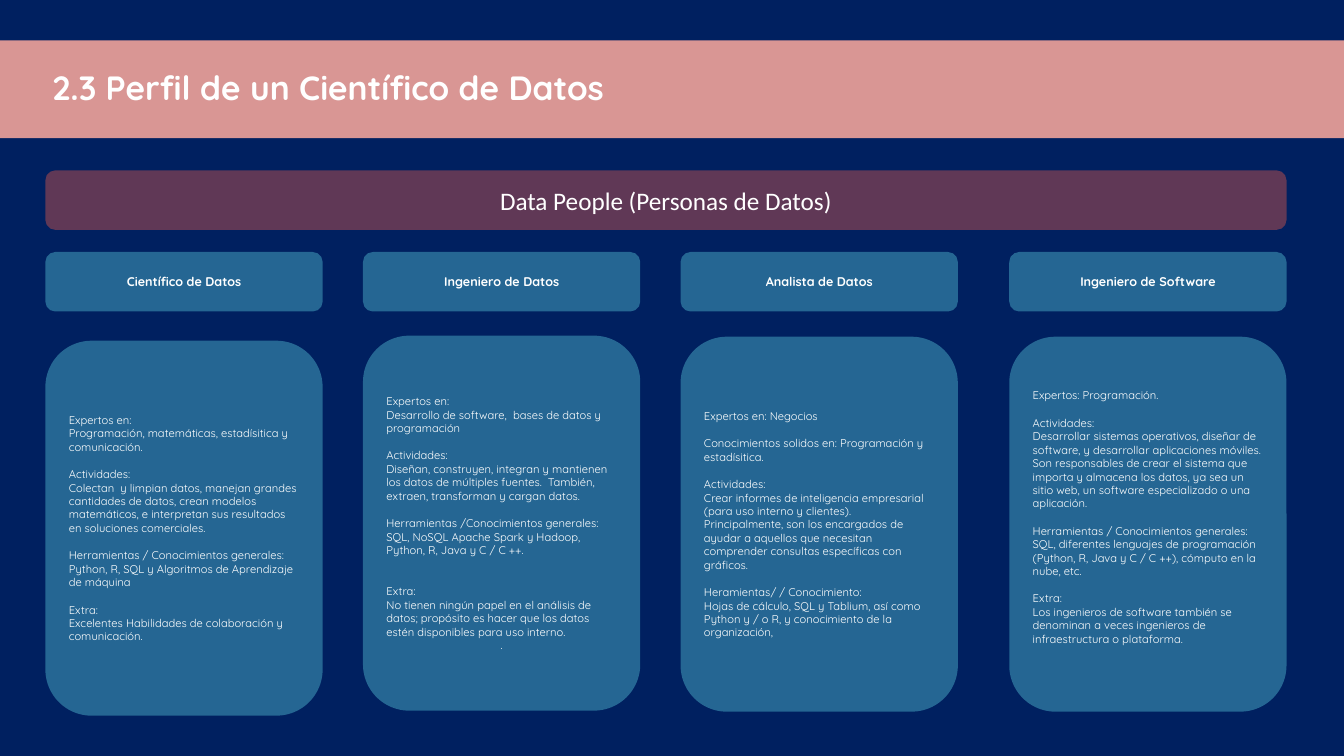
from dataclasses import dataclass

from lxml import etree
from pptx import Presentation
from pptx.dml.color import RGBColor
from pptx.enum.shapes import MSO_SHAPE
from pptx.enum.text import MSO_ANCHOR, PP_ALIGN
from pptx.oxml.ns import qn
from pptx.util import Inches, Pt

RECT = MSO_SHAPE.RECTANGLE
ROUNDED = MSO_SHAPE.ROUNDED_RECTANGLE
MIDDLE = MSO_ANCHOR.MIDDLE
LEFT, CENTER = PP_ALIGN.LEFT, PP_ALIGN.CENTER


@dataclass(frozen=True)
class Theme:
    navy: RGBColor = RGBColor(0x00, 0x20, 0x60)
    pink: RGBColor = RGBColor(0xD9, 0x96, 0x94)
    red: RGBColor = RGBColor(0xC0, 0x50, 0x4D)
    teal: RGBColor = RGBColor(0x4B, 0xAC, 0xC6)
    white: RGBColor = RGBColor(0xFF, 0xFF, 0xFF)
    font: str = "Quicksand"
    group_font: str = "Calibri"
    title: Pt = Pt(24)
    group: Pt = Pt(18)
    role: Pt = Pt(9)
    body: Pt = Pt(8)
    gap: Pt = Pt(10)


THEME = Theme()


@dataclass(frozen=True)
class Profile:
    role: str
    left: float
    card_top: float
    sections: list  # each section is a list of paragraphs
    extra_gaps: tuple = ()  # sections with a double gap above
    closing: str = ""  # centred last line
    bottom_inset: float = 0.05


PROFILES = [
    Profile("Científico de Datos", 0.45, 3.38, [
        ["Expertos en:",
         "Programación, matemáticas, estadísitica y comunicación."],
        ["Actividades:",
         "Colectan  y limpian datos, manejan grandes cantidades de datos, "
         "crean modelos matemáticos, e interpretan sus resultados en "
         "soluciones comerciales."],
        ["Herramientas / Conocimientos generales:",
         "Python, R, SQL y Algoritmos de Aprendizaje de máquina"],
        ["Extra:",
         "Excelentes Habilidades de colaboración y comunicación."],
    ]),
    Profile("Ingeniero de Datos", 3.6, 3.33, [
        ["Expertos en:",
         "Desarrollo de software,  bases de datos y programación"],
        ["Actividades:",
         "Diseñan, construyen, integran y mantienen los datos de múltiples "
         "fuentes.  También, extraen, transforman y cargan datos."],
        ["Herramientas /Conocimientos generales:",
         "SQL, NoSQL Apache Spark y Hadoop, Python, R, Java y C / C ++."],
        ["Extra:",
         "No tienen ningún papel en el análisis de datos; propósito es hacer "
         "que los datos estén disponibles para uso interno."],
    ], extra_gaps=(3,), closing="."),
    Profile("Analista de Datos", 6.75, 3.34, [
        ["Expertos en: Negocios"],
        ["Conocimientos solidos en: Programación y estadísitica."],
        ["Actividades:",
         "Crear informes de inteligencia empresarial (para uso interno y "
         "clientes).  Principalmente, son los encargados de ayudar a aquellos "
         "que necesitan comprender consultas específicas con gráficos."],
        ["Heramientas/ / Conocimiento:",
         "Hojas de cálculo, SQL y Tablium, así como Python y / o R, y "
         "conocimiento de la organización,"],
    ]),
    Profile("Ingeniero de Software", 10.01, 3.34, [
        ["Expertos: Programación."],
        ["Actividades:",
         "Desarrollar sistemas operativos, diseñar de software, y desarrollar "
         "aplicaciones móviles.",
         "Son responsables de crear el sistema que importa y almacena los "
         "datos, ya sea un sitio web, un software especializado o una "
         "aplicación."],
        ["Herramientas / Conocimientos generales:",
         "SQL, diferentes lenguajes de programación (Python, R, Java y "
         "C / C ++), cómputo en la nube, etc."],
        ["Extra:",
         "Los ingenieros de software también se denominan a veces ingenieros "
         "de infraestructura o plataforma."],
    ], bottom_inset=0.19),
]


def add_block(slide, kind, box, color, alpha=None):
    """Borderless filled shape; alpha is the opacity in percent."""
    sp = slide.shapes.add_shape(kind, *(Inches(v) for v in box))
    sp.shadow.inherit = False
    sp.fill.solid()
    sp.fill.fore_color.rgb = color
    sp.line.fill.background()
    if alpha is not None:
        clr = sp.fill._xPr.find(qn("a:solidFill"))[0]
        etree.SubElement(clr, qn("a:alpha"), val=str(alpha * 1000))
    tf = sp.text_frame
    tf.word_wrap = True
    tf.vertical_anchor = MIDDLE
    return tf


def add_line(tf, text, size, font=THEME.font, bold=False, align=LEFT, before=0):
    """Write one paragraph, using the empty first one when it is free."""
    first = tf.paragraphs[0]
    p = first if not first.runs else tf.add_paragraph()
    p.alignment = align
    p.space_before = before
    r = p.add_run()
    r.text = text
    r.font.size = size
    r.font.name = font
    r.font.bold = bold
    r.font.color.rgb = THEME.white


def add_title(slide, text):
    tf = add_block(slide, RECT, (0, 0.4, 13.33, 0.97), THEME.pink)
    tf.margin_left = Inches(0.52)
    add_line(tf, text, THEME.title, bold=True)
    tf.paragraphs[0].line_spacing = 0.9


def add_group(slide, text):
    tf = add_block(slide, ROUNDED, (0.45, 1.69, 12.31, 0.59), THEME.red, 50)
    add_line(tf, text, THEME.group, THEME.group_font, align=CENTER)


def add_profile(slide, profile):
    # Role heading
    tf = add_block(slide, ROUNDED, (profile.left, 2.5, 2.75, 0.59), THEME.teal, 50)
    add_line(tf, profile.role, THEME.role, bold=True, align=CENTER)

    # Description card
    box = (profile.left, profile.card_top, 2.75, 3.72)
    tf = add_block(slide, ROUNDED, box, THEME.teal, 50)
    tf.margin_bottom = Inches(profile.bottom_inset)
    for i, section in enumerate(profile.sections):
        gaps = 0 if i == 0 else 2 if i in profile.extra_gaps else 1
        for j, text in enumerate(section):
            before = THEME.gap * gaps if j == 0 else 0
            add_line(tf, text, THEME.body, before=before)
    if profile.closing:
        add_line(tf, profile.closing, THEME.body, align=CENTER)


def main():
    prs = Presentation()
    prs.slide_width, prs.slide_height = Inches(13.33), Inches(7.5)
    slide = prs.slides.add_slide(prs.slide_layouts[6])
    slide.background.fill.solid()
    slide.background.fill.fore_color.rgb = THEME.navy

    add_title(slide, "2.3 Perfil de un Científico de Datos")
    add_group(slide, "Data People (Personas de Datos)")
    for profile in PROFILES:
        add_profile(slide, profile)

    prs.save("out.pptx")


if __name__ == "__main__":
    main()
